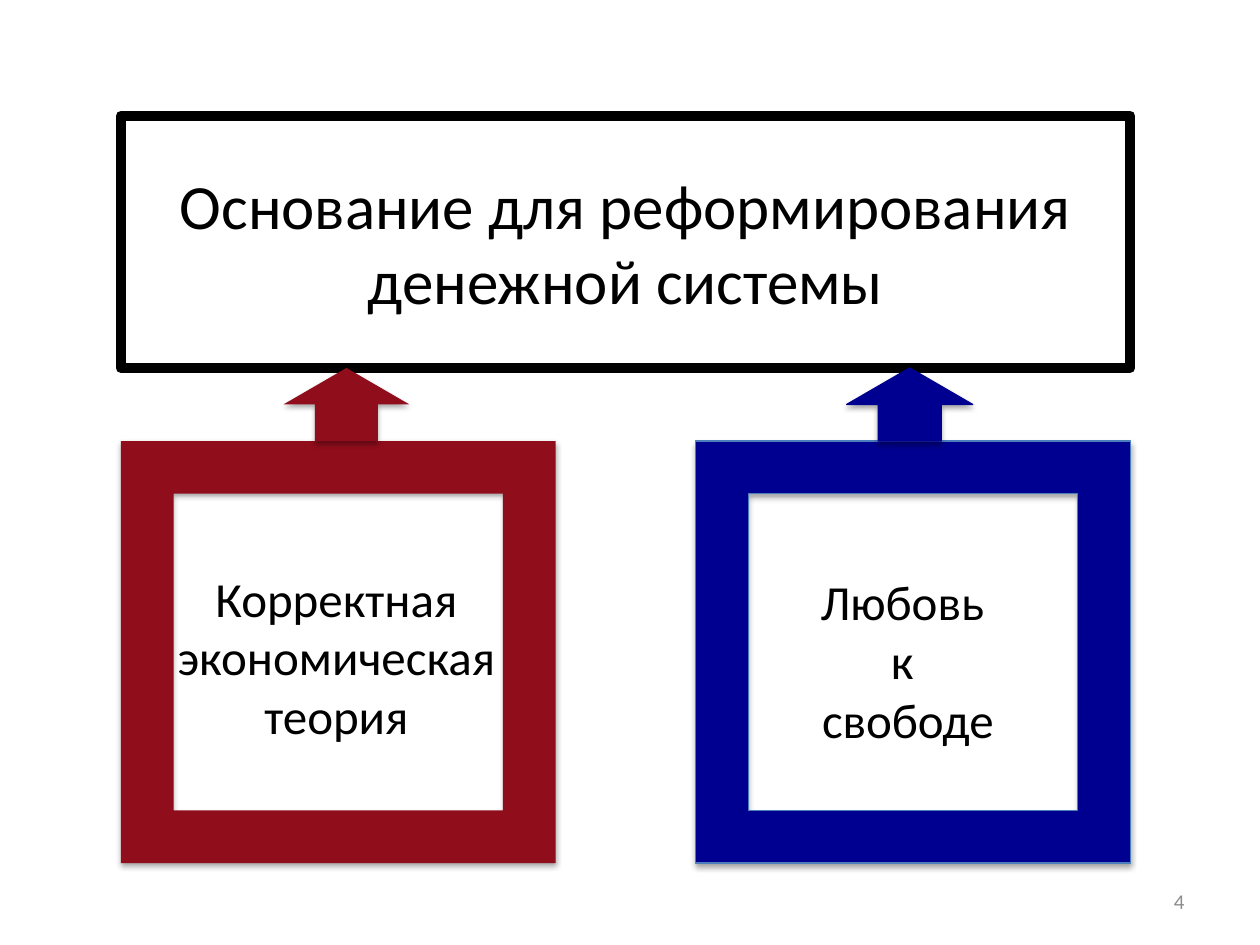
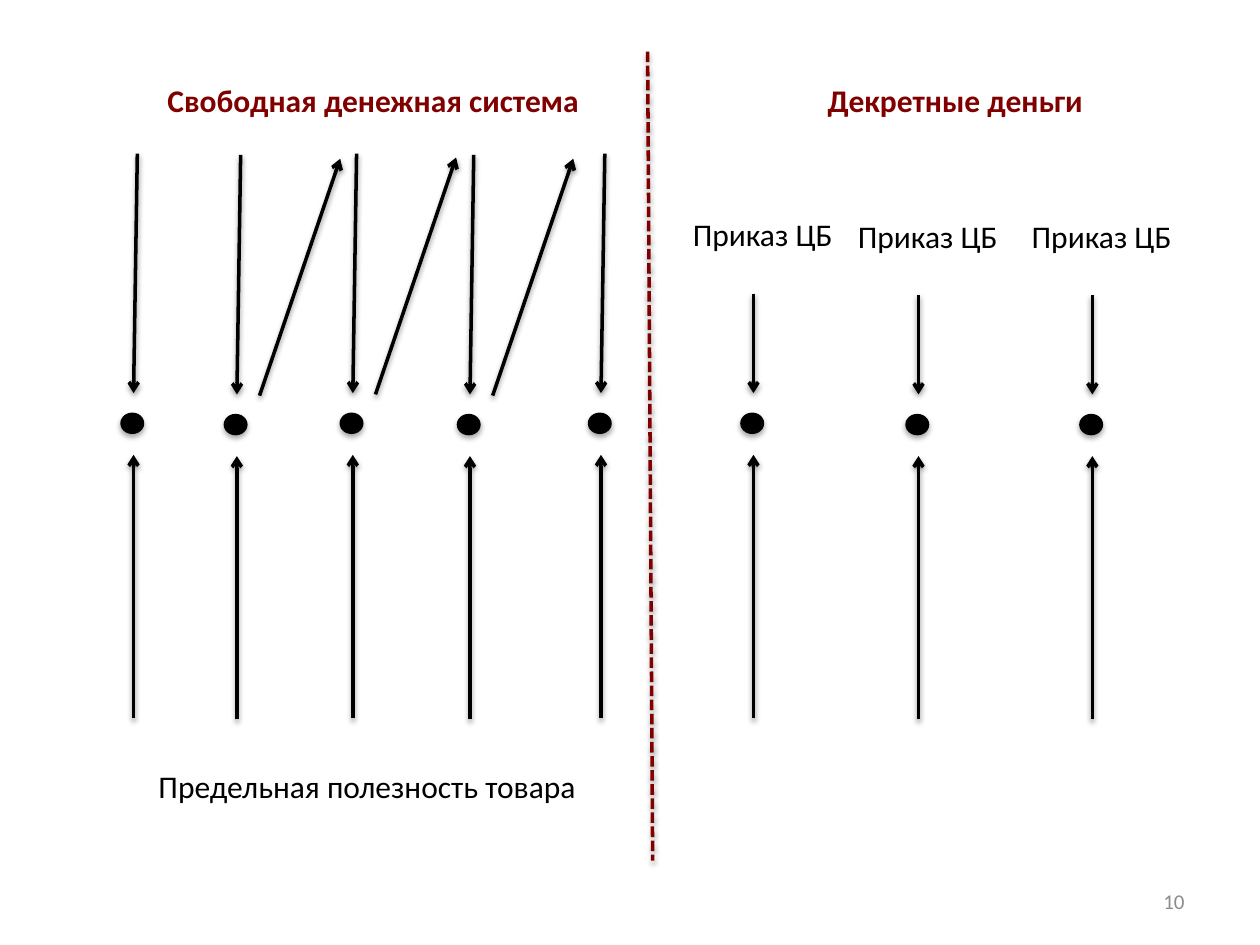
from dataclasses import dataclass

from lxml.etree import SubElement
from pptx import Presentation
from pptx.dml.color import RGBColor
from pptx.enum.dml import MSO_LINE
from pptx.enum.shapes import MSO_CONNECTOR, MSO_SHAPE
from pptx.enum.text import MSO_ANCHOR, MSO_AUTO_SIZE, PP_ALIGN
from pptx.oxml import parse_xml
from pptx.oxml.ns import nsdecls, qn
from pptx.util import Inches, Pt

COLUMNS, ROWS = 100, 75
SLIDE_WIDTH, SLIDE_HEIGHT = Inches(10), Inches(7.5)


@dataclass(frozen=True)
class Theme:
    """Colours, type sizes and line widths of the deck."""
    font: str = "Calibri"
    black: str = "000000"
    white: str = "FFFFFF"
    grey: str = "8C8C8C"
    crimson: str = "900D1C"
    navy: str = "000090"
    edge: str = "4B7EBC"
    maroon: str = "800000"
    title: int = 36
    pillar: int = 28
    label: int = 18
    number: int = 12
    border: float = 6
    stroke: float = 2
    hairline: float = 0.75


THEME = Theme()


@dataclass(frozen=True)
class Box:
    """A region measured in grid columns and rows."""
    left: float
    top: float
    width: float
    height: float

    def inner(self, left, top, width, height):
        """Return a region offset from this one."""
        return Box(self.left + left, self.top + top, width, height)

    def point(self, across, down):
        """Return a grid point offset from this region."""
        return self.left + across, self.top + down

    def lengths(self):
        """Return the region in slide units."""
        return (*place(self.left, self.top), *place(self.width, self.height))


def place(column, row):
    """Turn a grid position into slide units."""
    return round(column * SLIDE_WIDTH / COLUMNS), round(row * SLIDE_HEIGHT / ROWS)


def colour(value):
    """Return a colour from its hex form."""
    return RGBColor.from_string(value)


def add_shadow(item, opacity, distance):
    """Cast a soft shadow straight down."""
    item.element.spPr.append(parse_xml(
        f'<a:effectLst {nsdecls("a")}><a:outerShdw blurRad="{Pt(3.1)}" '
        f'dist="{Pt(distance)}" dir="5400000" rotWithShape="0">'
        f'<a:srgbClr val="{THEME.black}"><a:alpha val="{opacity}000"/></a:srgbClr>'
        '</a:outerShdw></a:effectLst>'))


def write(shape, lines, size, ink=THEME.black, align=PP_ALIGN.LEFT, bold=False):
    """Fill a shape with one paragraph per line."""
    frame = shape.text_frame
    formats = {"name": THEME.font, "size": Pt(size), "bold": bold}
    for index, line in enumerate(lines):
        para = frame.add_paragraph() if index else frame.paragraphs[0]
        para.alignment = align
        span = para.add_run()
        span.text = line
        for name, value in formats.items():
            setattr(span.font, name, value)
        span.font.color.rgb = colour(ink)


def add_text(page, box, lines, size, **look):
    """Add a text box that fits its lines without wrapping."""
    label = page.shapes.add_textbox(*box.lengths())
    label.text_frame.word_wrap = False
    label.text_frame.auto_size = MSO_AUTO_SIZE.SHAPE_TO_FIT_TEXT
    write(label, lines, size, **look)


def add_shape(page, kind, box, fill, edge=None, weight=THEME.hairline, shadow=True):
    """Add a filled preset shape."""
    shape = page.shapes.add_shape(kind, *box.lengths())
    shape.fill.solid()
    shape.fill.fore_color.rgb = colour(fill)
    if edge:
        shape.line.color.rgb = colour(edge)
        shape.line.width = Pt(weight)
    else:
        shape.line.fill.background()
    if shadow:
        add_shadow(shape, 35, 1.8)
    else:
        shape.shadow.inherit = False
    return shape


def add_line(page, start, end, ink=THEME.black, dash=None):
    """Add a dashed line, or an arrow when no dash is given."""
    line = page.shapes.add_connector(MSO_CONNECTOR.STRAIGHT, *place(*start), *place(*end))
    line.line.color.rgb = colour(ink)
    line.line.width = Pt(THEME.stroke)
    if dash:
        line.line.dash_style = dash
    else:
        SubElement(line.element.spPr.find(qn("a:ln")), qn("a:tailEnd"), type="arrow")
    add_shadow(line, 38, 1.6)


def add_number(page, number):
    """Write the page number in the bottom right corner."""
    label = page.shapes.add_textbox(*Box(71.7, 69.5, 23.3, 4).lengths())
    label.text_frame.word_wrap = True
    label.text_frame.vertical_anchor = MSO_ANCHOR.MIDDLE
    write(label, [str(number)], THEME.number, ink=THEME.grey, align=PP_ALIGN.RIGHT)


def add_pillar(page, box, lines, text_box, arrow_left, fill, frame_edge, arrow_edge):
    """Draw a framed idea with an arrow rising from it."""
    add_shape(page, MSO_SHAPE.FRAME, box, fill, frame_edge)
    add_text(page, box.inner(*text_box), lines, THEME.pillar, align=PP_ALIGN.CENTER)
    add_shape(page, MSO_SHAPE.UP_ARROW, box.inner(arrow_left, -5.8, 10, 5.8), fill, arrow_edge)


def add_foundation_page(deck):
    """Build the page of two pillars under one goal."""
    page = deck.slides.add_slide(deck.slide_layouts[6])
    goal_box = Box(9.6, 9.2, 80.1, 20)
    goal = add_shape(page, MSO_SHAPE.RECTANGLE, goal_box, THEME.white,
                     THEME.black, THEME.border, shadow=False)
    goal.text_frame.word_wrap = True
    goal.text_frame.vertical_anchor = MSO_ANCHOR.MIDDLE
    write(goal, ["Основание для реформирования денежной системы"],
          THEME.title, align=PP_ALIGN.CENTER)
    side = 34.5
    add_pillar(page, goal_box.inner(0, 25.8, side, 33.5),
               ["Корректная", "экономическая", "теория"],
               (3.3, 9.6, 27.6, 15.1), 12.9, THEME.crimson, None, None)
    add_pillar(page, goal_box.inner(goal_box.width - side, 25.8, side, 33.5),
               ["Любовь ", "к ", "свободе"],
               (8.9, 9.9, 15.9, 15.1), 12, THEME.navy, THEME.edge, THEME.navy)
    add_number(page, 4)


def add_price_point(page, box, drop, lean=0):
    """Draw a dot pressed by arrows from above and below."""
    middle = box.height / 2
    add_line(page, box.point(lean, middle - 2.5 - drop), box.point(0, middle - 2.5))
    add_line(page, box.point(0, box.height), box.point(0, middle + 2.4))
    add_shape(page, MSO_SHAPE.OVAL, box.inner(-1, middle - 0.9, 1.8, 1.6),
              THEME.black, THEME.black)


def add_heading(page, box, text):
    """Write the heading of one money system."""
    add_text(page, box, [text], THEME.label, ink=THEME.maroon, bold=True)


def add_free_money(page, box):
    """Draw prices that carry over from one day to the next."""
    add_heading(page, box.inner(2.7, 0, 35.1, 4), "Свободная денежная система")
    for index, column in enumerate((1, 9.2, 18.4, 27.7, 38.1)):
        day = box.inner(column, 4.5 + index % 2 * 0.1, 0, 46.6)
        add_price_point(page, day, 19, lean=0.3)
        if 0 < index < 4:
            add_line(page, day.point(1.8, 20.9), day.point(8.2, 2.1))
    add_text(page, box.inner(2, 54.5, 35.6, 4), ["Предельная полезность товара"], THEME.label)


def add_decree_money(page, box):
    """Draw prices set by order from above."""
    add_heading(page, box.inner(10.7, 0, 22.5, 4), "Декретные деньги")
    for index, column in enumerate((5.8, 18.9, 32.7)):
        order = box.inner(column, 4.5 + min(index, 1) * 0.1, 0, 46.6)
        add_price_point(page, order, 7.9)
        add_text(page, order.inner(-5.8, 6.2, 13.3, 4), ["Приказ ЦБ"], THEME.label)


def add_comparison_page(deck):
    """Build the page that sets free money beside decree money."""
    page = deck.slides.add_slide(deck.slide_layouts[6])
    add_number(page, 10)
    add_free_money(page, Box(9.6, 5.9, 39, 58.5))
    add_line(page, (51.4, 4.1), (51.8, 68.3), THEME.maroon, MSO_LINE.SQUARE_DOT)
    add_decree_money(page, Box(54, 5.9, 40, 58.5))


def main():
    """Build and save the deck."""
    deck = Presentation()
    deck.slide_width, deck.slide_height = SLIDE_WIDTH, SLIDE_HEIGHT
    add_foundation_page(deck)
    add_comparison_page(deck)
    deck.save("out.pptx")


if __name__ == "__main__":
    main()
